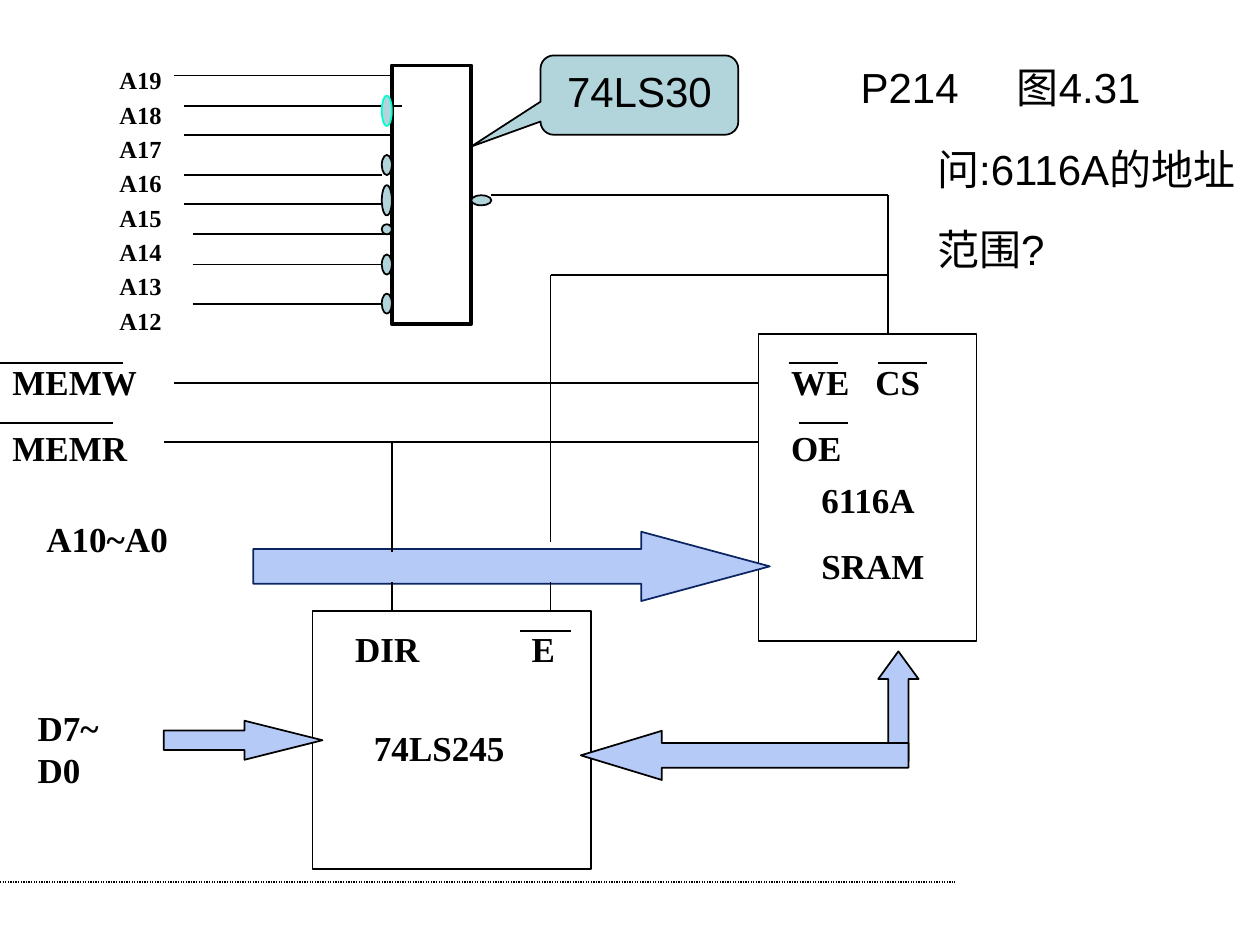
import pptx
import pptx.util
import pptx.dml.color
import pptx.enum.dml
import pptx.enum.shapes
import pptx.enum.text
import pptx.oxml.ns
import lxml.etree

PX = 9144
INK = {"black": "000000", "teal": "B2D5DC", "mint": "00FFCC",
       "blue": "B6CAF8", "navy": "0A2562"}
KIND = pptx.enum.shapes.MSO_SHAPE
ALIGN = pptx.enum.text.PP_ALIGN
TIMES = {"size": 20, "face": "Times New Roman", "bold": True, "gap": 13.6}
ARIAL = {"size": 24, "face": "Arial", "bold": False, "gap": 17}


def px(*vals):
    """Turn px lengths into EMU."""
    return [pptx.util.Emu(val * PX) for val in vals]


def tint(name):
    """Look up a colour by name."""
    return pptx.dml.color.RGBColor.from_string(INK[name])


def wire(slide, x1, y1, x2, y2, width=1):
    """Draw a straight black line."""
    line = slide.shapes.add_connector(
        pptx.enum.shapes.MSO_CONNECTOR.STRAIGHT, *px(x1, y1, x2, y2))
    line.line.color.rgb = tint("black")
    line.line.width = pptx.util.Pt(width)
    lxml.etree.SubElement(line._element.spPr, pptx.oxml.ns.qn("a:effectLst"))
    return line


def block(slide, kind, box, fill=None, edge="black", width=1, adjust=()):
    """Draw a preset shape."""
    shape = slide.shapes.add_shape(kind, *px(*box))
    shape.shadow.inherit = False
    if fill:
        shape.fill.solid()
        shape.fill.fore_color.rgb = tint(fill)
    else:
        shape.fill.background()
    shape.line.color.rgb = tint(edge)
    shape.line.width = pptx.util.Pt(width)
    for spot, val in enumerate(adjust):
        shape.adjustments[spot] = val
    return shape


def write(shape, rows, size, face, bold, gap, tab=None, align=ALIGN.LEFT,
          anchor=pptx.enum.text.MSO_ANCHOR.TOP):
    """Fill a shape with one paragraph per row."""
    frame = shape.text_frame
    frame.word_wrap = True
    frame.auto_size = pptx.enum.text.MSO_AUTO_SIZE.NONE
    frame.vertical_anchor = anchor
    for spot, row in enumerate(rows):
        para = frame.add_paragraph() if spot else frame.paragraphs[0]
        para.alignment = align
        para.space_before = pptx.util.Pt(gap if spot else 0)
        if tab:
            stops = lxml.etree.SubElement(
                para._p.get_or_add_pPr(), pptx.oxml.ns.qn("a:tabLst"))
            lxml.etree.SubElement(stops, pptx.oxml.ns.qn("a:tab"),
                                  pos=str(tab * PX), algn="l")
        run = para.add_run()
        run.text = row
        run.font.size = pptx.util.Pt(size)
        run.font.name = face
        run.font.bold = bold
        run.font.color.rgb = tint("black")


def label(slide, box, rows, style=TIMES, **more):
    """Place a text box."""
    write(slide.shapes.add_textbox(*px(*box)), rows, **{**style, **more})


def head(slide, x, y):
    """Place the figure title and the question."""
    title = slide.shapes.title
    title.left, title.top, title.width, title.height = px(x, y, 307, 50)
    write(title, ["P214\t图4.31"], **ARIAL, tab=124)
    label(slide, (x + 61, y + 65, 264, 151), ["问:6116A的地址", "范围?"], ARIAL)


def gate(slide, x, y):
    """Draw the NAND gate with its inputs, bubbles and callout."""
    block(slide, KIND.RECTANGLE, (x, y, 63, 205), width=2.25)
    leads = [(-173, 8, 0), (-165, 32, 8), (-165, 55, 0), (-165, 87, -8),
             (-165, 110, -8), (-165, 150, -165), (-158, 134, 0),
             (-158, 158, -8), (-158, 189, 0)]
    for start, drop, end in leads:
        wire(slide, x + start, y + drop, x + end, y + drop)
    dots = [(24, 24, "mint"), (71, 16, "black"), (95, 24, "black"),
            (126, 8, "black"), (150, 16, "black"), (181, 16, "black")]
    for drop, tall, edge in dots:
        block(slide, KIND.OVAL, (x - 8, y + drop, 8, tall), "teal", edge)
    block(slide, KIND.OVAL, (x + 63, y + 103, 16, 8), "teal")
    names = [f"A{bit}" for bit in range(19, 11, -1)]
    label(slide, (x - 226, y - 5, 110, 217), names, size=14, gap=2.8)
    note = block(slide, KIND.ROUNDED_RECTANGULAR_CALLOUT,
                 (x + 118, y - 8, 157, 63), "teal",
                 adjust=(-0.851, 0.649, 0.167))
    write(note, ["74LS30"], **ARIAL, align=ALIGN.CENTER)


def store(slide, x, y):
    """Draw the memory chip and its pins."""
    block(slide, KIND.RECTANGLE, (x, y, 173, 244))
    label(slide, (x + 40, y + 110, 118, 94), ["6116A", "SRAM"])
    label(slide, (x + 16, y + 16, 126, 94), ["WE\tCS", "OE"], tab=67)
    for left, drop in [(24, 23), (32, 71), (95, 23)]:
        wire(slide, x + left, y + drop, x + left + 39, y + drop)


def drive(slide, x, y):
    """Draw the bus driver and its pins."""
    block(slide, KIND.RECTANGLE, (x, y, 221, 205))
    label(slide, (x + 39, y + 87, 157, 44), ["74LS245"])
    label(slide, (x + 24, y + 8, 189, 44), ["DIR\tE"], tab=140)
    wire(slide, x + 165, y + 16, x + 205, y + 16)


def buses(slide, x, y):
    """Draw the address and data arrows with their names."""
    arrows = [(KIND.RIGHT_ARROW, 130, 166, 126, 31, 1.995, "black"),
              (KIND.UP_ARROW, 697, 111, 32, 87, 0.686, "black"),
              (KIND.LEFT_ARROW, 461, 174, 260, 39, 1.649, "black"),
              (KIND.RIGHT_ARROW, 201, 16, 410, 55, 1.854, "navy")]
    for kind, left, drop, wide, tall, tip, edge in arrows:
        block(slide, kind, (x + left, y + drop, wide, tall), "blue", edge,
              adjust=(0.5, tip))
    label(slide, (x + 27, y, 150, 44), ["A10~A0"])
    label(slide, (x + 20, y + 150, 87, 77), ["D7~D0"])


def lines(slide, x, y):
    """Draw the control signals and the wires between chips."""
    label(slide, (x, y + 126, 138, 94), ["MEMW", "MEMR"])
    paths = [(0, 133, 98, 133), (0, 181, 90, 181),
             (138, 149, 602, 149), (130, 196, 602, 196),
             (390, 0, 705, 0), (705, 0, 705, 110),
             (437, 63, 705, 63), (437, 63, 437, 275), (437, 307, 437, 330),
             (311, 196, 311, 283), (311, 307, 311, 330)]
    for x1, y1, x2, y2 in paths:
        wire(slide, x + x1, y + y1, x + x2, y + y2)


def main():
    """Build and save the slide."""
    deck = pptx.Presentation()
    deck.slide_width, deck.slide_height = px(1000, 750)
    slide = deck.slides.add_slide(deck.slide_layouts[5])
    rule = wire(slide, 0, 700, 758, 700, 0.75)
    rule.line.dash_style = pptx.enum.dml.MSO_LINE.ROUND_DOT
    head(slide, 673, 44)
    gate(slide, 311, 52)
    store(slide, 602, 265)
    drive(slide, 248, 485)
    buses(slide, 0, 406)
    lines(slide, 0, 155)
    deck.save("out.pptx")


if __name__ == "__main__":
    main()
